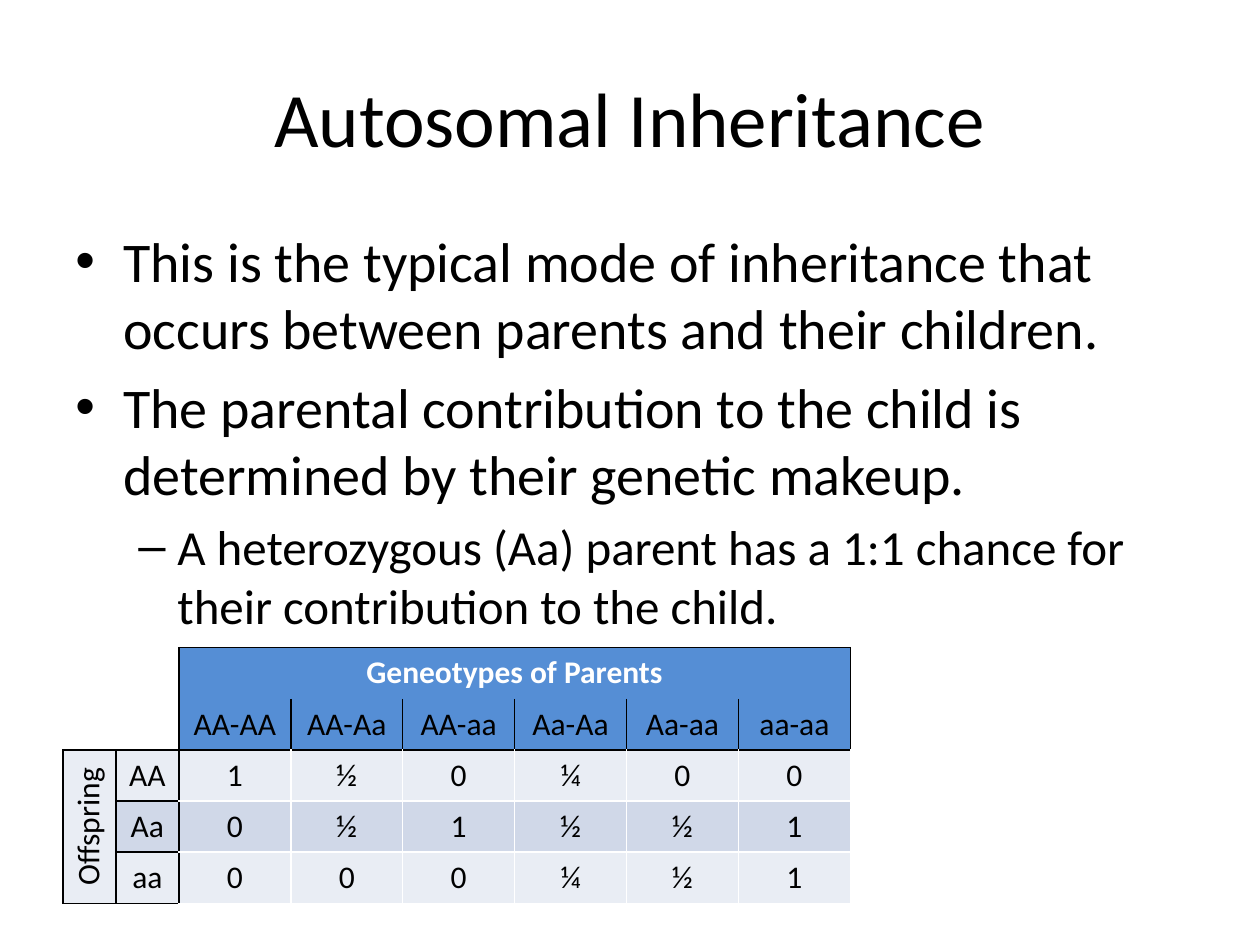
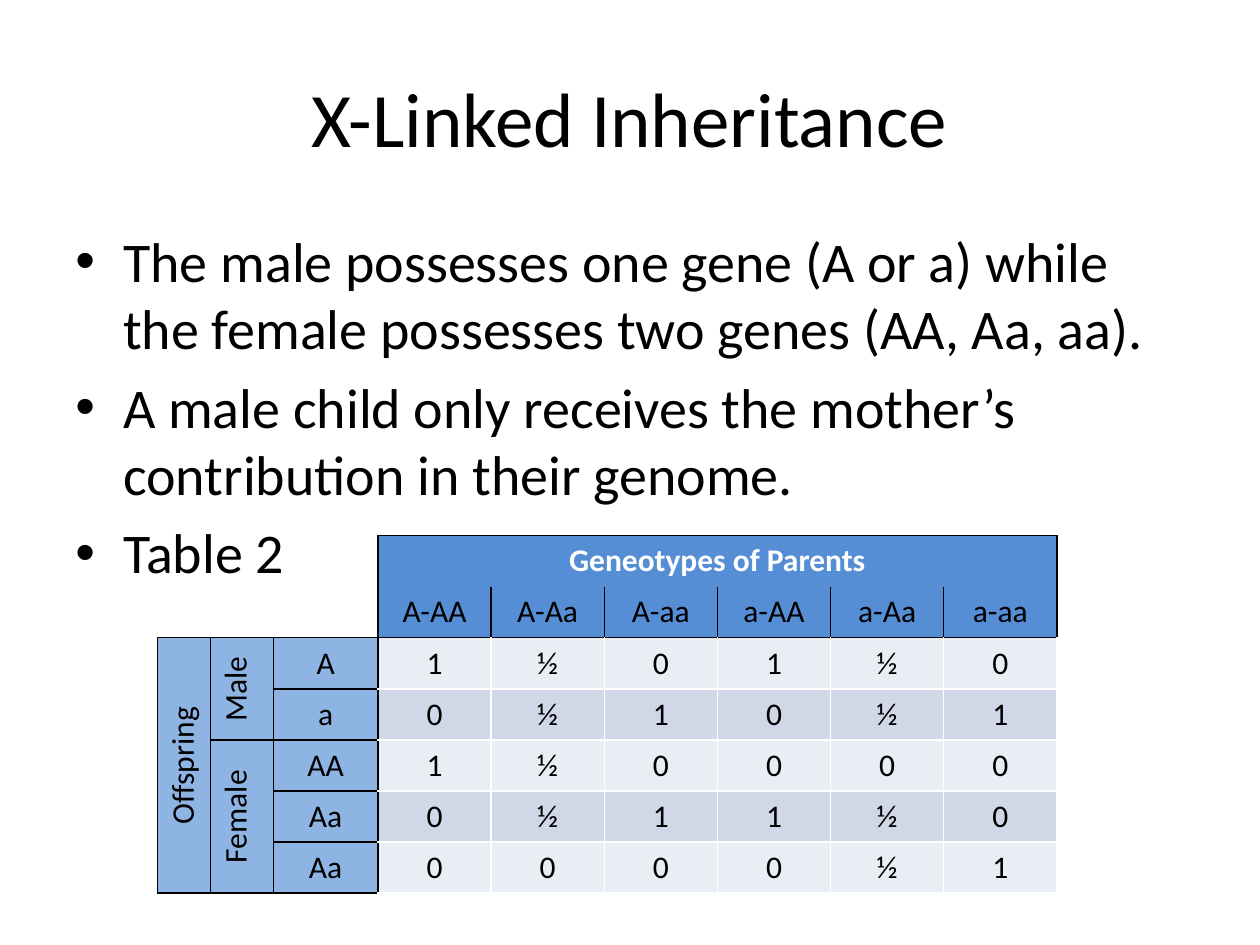
from collections import namedtuple
from dataclasses import dataclass

from lxml.etree import SubElement
from pptx import Presentation
from pptx.dml.color import RGBColor
from pptx.enum.text import MSO_ANCHOR, PP_ALIGN
from pptx.oxml.ns import qn
from pptx.util import Inches, Pt


@dataclass(frozen=True)
class Theme:
    font: str = "Calibri"
    ink: str = "000000"
    paper: str = "FFFFFF"
    heading: str = "558ED5"
    stub: str = "8EB4E3"
    bands: tuple = ("E9EDF4", "D0D8E8")
    title_size: int = 44
    point_sizes: tuple = (32, 28)
    cell_size: int = 18
    rule: float = 1


THEME = Theme()
Box = namedtuple("Box", "left top width height")
TITLE_BOX = Box(0.5, 0.3, 9, 1.25)
POINTS_BOX = Box(0.5, 1.75, 9, 4.95)

# Indent, hanging width and bullet for each level
LEVELS = ((0.38, 0.38, "•"), (0.81, 0.31, "–"))
HEADING_ROWS = 2

INHERITANCE = [
    {
        "title": "Autosomal Inheritance",
        "points": [
            (0, "This is the typical mode of inheritance that occurs between parents and their children."),
            (0, "The parental contribution to the child is determined by their genetic makeup."),
            (1, "A heterozygous (Aa) parent has a 1:1 chance for their contribution to the child."),
        ],
        "box": Box(0.5, 5.14, 6.25, 2.03),
        "stub_widths": (0.42, 0.5),
        "stub_fill": None,
        "parents": "AA-AA AA-Aa AA-aa Aa-Aa Aa-aa aa-aa",
        "offspring": [
            [("Offspring", 3)],
            [("AA", 1), ("Aa", 1), ("aa", 1)],
        ],
        "chances": ["1 ½ 0 ¼ 0 0", "0 ½ 1 ½ ½ 1", "0 0 0 ¼ ½ 1"],
    },
    {
        "title": "X-Linked Inheritance",
        "points": [
            (0, "The male possesses one gene (A or a) while the female possesses two genes (AA, Aa, aa)."),
            (0, "A male child only receives the mother’s contribution in their genome."),
            (0, "Table 2"),
        ],
        "box": Box(1.25, 4.25, 7.14, 2.84),
        "stub_widths": (0.42, 0.5, 0.83),
        "stub_fill": THEME.stub,
        "parents": "A-AA A-Aa A-aa a-AA a-Aa a-aa",
        "offspring": [
            [("Offspring", 5)],
            [("Male", 2), ("Female", 3)],
            [("A", 1), ("a", 1), ("AA", 1), ("Aa", 1), ("Aa", 1)],
        ],
        "chances": ["1 ½ 0 1 ½ 0", "0 ½ 1 0 ½ 1", "1 ½ 0 0 0 0",
                    "0 ½ 1 1 ½ 0", "0 0 0 0 ½ 1"],
    },
]


def apply_format(target, values):
    for name, value in values.items():
        setattr(target, name, value)


def write(paragraph, text, size, color=THEME.ink, bold=False, align=PP_ALIGN.LEFT):
    paragraph.alignment = align
    run = paragraph.add_run()
    run.text = text
    apply_format(run.font, {"name": THEME.font, "size": Pt(size), "bold": bold})
    run.font.color.rgb = RGBColor.from_string(color)


def add_frame(slide, box, anchor):
    frame = slide.shapes.add_textbox(*map(Inches, box)).text_frame
    apply_format(frame, {"word_wrap": True, "vertical_anchor": anchor})
    return frame


def add_title(slide, box, title):
    frame = add_frame(slide, box, MSO_ANCHOR.MIDDLE)
    write(frame.paragraphs[0], title, THEME.title_size, align=PP_ALIGN.CENTER)


def add_points(slide, box, points):
    frame = add_frame(slide, box, MSO_ANCHOR.TOP)
    for index, (level, text) in enumerate(points):
        point = frame.add_paragraph() if index else frame.paragraphs[0]
        size = THEME.point_sizes[level]
        write(point, text, size)
        apply_format(point, {"level": level, "space_before": Pt(size * 0.2)})
        indent, hanging, bullet = LEVELS[level]
        properties = point._p.get_or_add_pPr()
        properties.set("marL", str(Inches(indent)))
        properties.set("indent", str(-Inches(hanging)))
        SubElement(properties, qn("a:buFont")).set("typeface", "Arial")
        SubElement(properties, qn("a:buChar")).set("char", bullet)


def set_borders(cell, colors):
    """Draw the sides named in colors (L, R, T, B); leave the others bare."""
    properties = cell._tc.get_or_add_tcPr()
    for position, side in enumerate("LRTB"):
        line = SubElement(properties, qn(f"a:ln{side}"), w=str(Pt(THEME.rule)))
        if side in colors:
            fill = SubElement(line, qn("a:solidFill"))
            SubElement(fill, qn("a:srgbClr")).set("val", colors[side])
        else:
            SubElement(line, qn("a:noFill"))
        properties.insert(position, line)


def style_cell(cell, row, column, stubs, stub_fill):
    """Fill and rule a cell by its region: corner, heading, stub or body."""
    band = THEME.bands[(row - HEADING_ROWS) % 2]
    in_heading, in_stub = row < HEADING_ROWS, column < stubs
    if in_heading and in_stub:
        fill = None
        sides = ("R" if column == stubs - 1 else "") + ("B" if row else "")
    elif in_heading:
        fill, sides = THEME.heading, "LRB" if row else "LRT"
    elif in_stub:
        fill, sides = stub_fill or band, "LRTB"
    else:
        fill = band
        sides = ("L" if column == stubs else "") + ("T" if row == HEADING_ROWS else "")
    if fill:
        cell.fill.solid()
        cell.fill.fore_color.rgb = RGBColor.from_string(fill)
    else:
        cell.fill.background()
    is_body = not in_heading and not in_stub
    colors = dict.fromkeys("LRTB", THEME.paper) if is_body else {}
    set_borders(cell, colors | dict.fromkeys(sides, THEME.ink))


def write_cell(cell, text, **style):
    write(cell.text_frame.paragraphs[0], text, THEME.cell_size,
          align=PP_ALIGN.CENTER, **style)


def add_genotype_table(slide, box, content):
    parents = content["parents"].split()
    stubs = len(content["stub_widths"])
    rows = HEADING_ROWS + len(content["chances"])
    columns = stubs + len(parents)
    table = slide.shapes.add_table(rows, columns, *map(Inches, box)).table
    apply_format(table, {"first_row": False, "horz_banding": False})

    # Grid
    parent_width = (box.width - sum(content["stub_widths"])) / len(parents)
    widths = list(content["stub_widths"]) + [parent_width] * len(parents)
    for column, width in zip(table.columns, widths):
        column.width = Inches(width)
    for row in table.rows:
        row.height = Inches(box.height / rows)
    for row in range(rows):
        for column in range(columns):
            style_cell(table.cell(row, column), row, column, stubs, content["stub_fill"])

    # Parents
    heading = table.cell(0, stubs)
    heading.merge(table.cell(0, columns - 1))
    write_cell(heading, "Geneotypes of Parents", color=THEME.paper, bold=True)
    for column, parent in enumerate(parents, stubs):
        write_cell(table.cell(1, column), parent)

    # Offspring
    for column, groups in enumerate(content["offspring"]):
        row = HEADING_ROWS
        for label, span in groups:
            cell = table.cell(row, column)
            if span > 1:
                cell.merge(table.cell(row + span - 1, column))
                cell._tc.get_or_add_tcPr().set("vert", "vert270")
            write_cell(cell, label)
            row += span

    # Chances
    for row, chances in enumerate(content["chances"], HEADING_ROWS):
        for column, chance in enumerate(chances.split(), stubs):
            write_cell(table.cell(row, column), chance)


def add_inheritance_slide(deck, content):
    slide = deck.slides.add_slide(deck.slide_layouts[6])
    add_title(slide, TITLE_BOX, content["title"])
    add_points(slide, POINTS_BOX, content["points"])
    add_genotype_table(slide, content["box"], content)


def main():
    deck = Presentation()
    apply_format(deck, {"slide_width": Inches(10), "slide_height": Inches(7.5)})
    for content in INHERITANCE:
        add_inheritance_slide(deck, content)
    deck.save("out.pptx")


if __name__ == "__main__":
    main()
